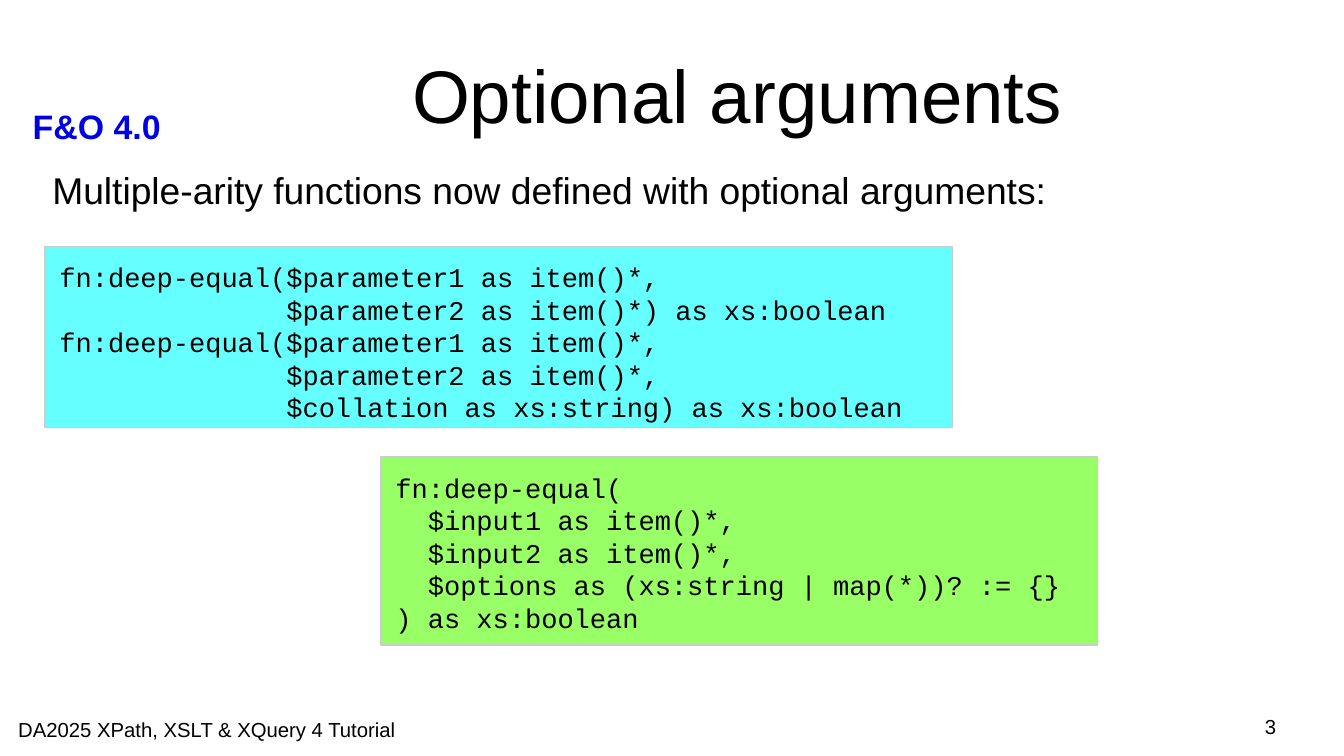
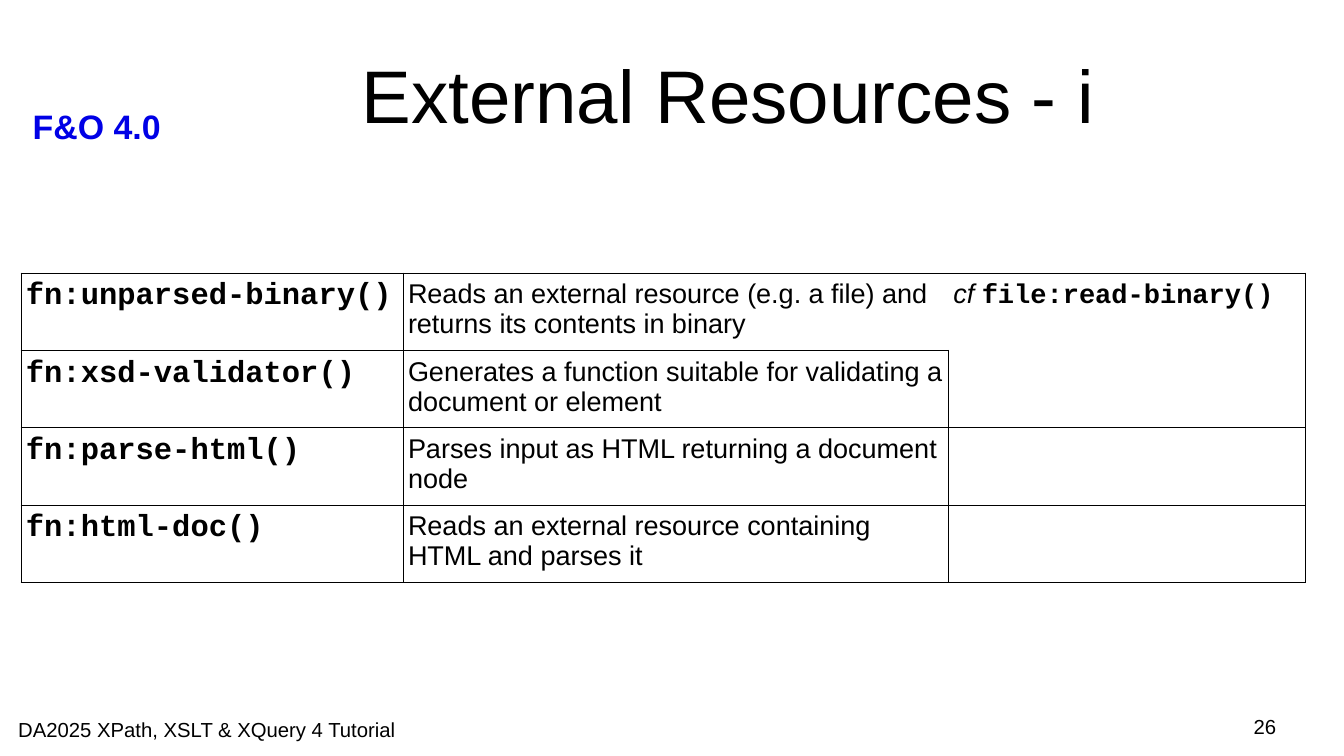
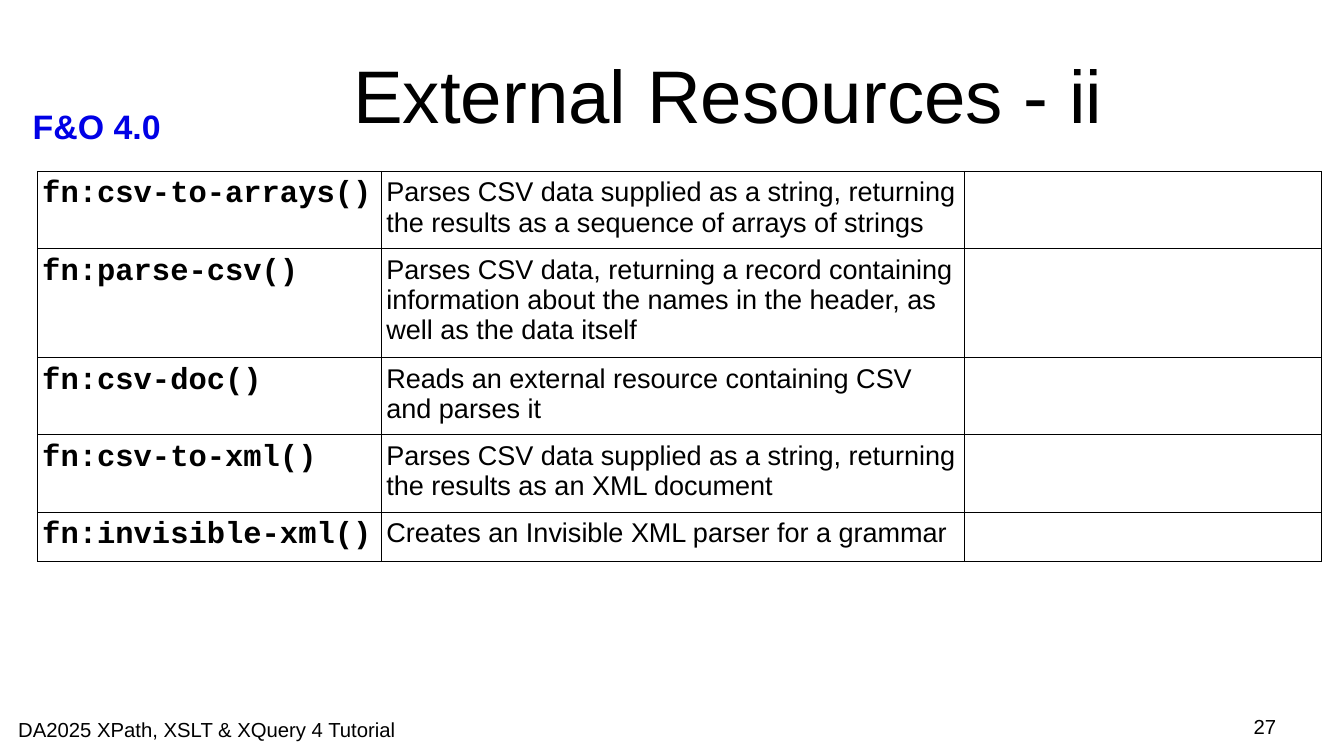
import pptx
import pptx.dml.color
import pptx.enum.shapes
import pptx.enum.text
import pptx.oxml.ns
import pptx.util
from lxml import etree

Cm = pptx.util.Cm
Pt = pptx.util.Pt
ALIGN = pptx.enum.text.PP_ALIGN
ANCHOR = pptx.enum.text.MSO_ANCHOR

# Shared look
COLORS = {
    "text": "000000",
    "label": "0000E6",
    "old_code": "66FFFF",
    "new_code": "99FF66",
    "outline": "CCCCCC",
}
SANS, MONO = "Arial", "Courier New"
SECTION = "F&O 4.0"
FOOTER = "DA2025 XPath, XSLT & XQuery 4 Tutorial"
RIGHT_EDGE = 26.59
NO_GRID_STYLE = "{2D5ABB26-0587-4C30-8999-92F81FD0307C}"
TITLE_AND_BODY, TITLE_ONLY = 1, 5

OLD_SIGNATURES = [
    "fn:deep-equal($parameter1 as item()*,",
    "              $parameter2 as item()*) as xs:boolean",
    "fn:deep-equal($parameter1 as item()*,",
    "              $parameter2 as item()*,",
    "              $collation as xs:string) as xs:boolean",
]
NEW_SIGNATURE = [
    "fn:deep-equal(",
    "  $input1 as item()*,",
    "  $input2 as item()*,",
    "  $options as (xs:string | map(*))? := {}",
    ") as xs:boolean",
]
BINARY_AND_HTML = [
    ("fn:unparsed-binary()",
     "Reads an external resource (e.g. a file) and returns its contents in binary"),
    ("fn:xsd-validator()",
     "Generates a function suitable for validating a document or element"),
    ("fn:parse-html()", "Parses input as HTML returning a document node"),
    ("fn:html-doc()", "Reads an external resource containing HTML and parses it"),
]
CSV_AND_IXML = [
    ("fn:csv-to-arrays()",
     "Parses CSV data supplied as a string, returning the results "
     "as a sequence of arrays of strings"),
    ("fn:parse-csv()",
     "Parses CSV data, returning a record containing information about "
     "the names in the header, as well as the data itself"),
    ("fn:csv-doc()", "Reads an external resource containing CSV and parses it"),
    ("fn:csv-to-xml()",
     "Parses CSV data supplied as a string, returning the results as an XML document"),
    ("fn:invisible-xml()", "Creates an Invisible XML parser for a grammar"),
]


def rgb(name):
    return pptx.dml.color.RGBColor.from_string(COLORS[name])


def add_run(paragraph, text, size, font=SANS, color="text", bold=False, italic=False):
    run = paragraph.add_run()
    run.text = text
    run.font.name, run.font.size = font, Pt(size)
    run.font.bold, run.font.italic = bold, italic
    run.font.color.rgb = rgb(color)


def place(shape, left, top, width, height):
    shape.left, shape.top = Cm(left), Cm(top)
    shape.width, shape.height = Cm(width), Cm(height)


def set_frame(frame, inset_x=0, inset_y=0, anchor=ANCHOR.TOP):
    frame.word_wrap = True
    frame.auto_size = pptx.enum.text.MSO_AUTO_SIZE.NONE
    frame.vertical_anchor = anchor
    frame.margin_left = frame.margin_right = Cm(inset_x)
    frame.margin_top = frame.margin_bottom = Cm(inset_y)


def add_label(slide, box, text, size, inset=(0, 0), align=ALIGN.LEFT, **style):
    frame = slide.shapes.add_textbox(*map(Cm, box)).text_frame
    set_frame(frame, *inset)
    frame.paragraphs[0].alignment = align
    add_run(frame.paragraphs[0], text, size, **style)


def add_slide(deck, layout, title, title_left, number):
    """Slide with the title, section label, footer and page number."""
    slide = deck.slides.add_slide(deck.slide_layouts[layout])
    heading = slide.shapes.title
    place(heading, title_left, 0.64, RIGHT_EDGE - title_left, 2.64)
    set_frame(heading.text_frame, anchor=ANCHOR.MIDDLE)
    heading.text_frame.paragraphs[0].alignment = ALIGN.CENTER
    add_run(heading.text_frame.paragraphs[0], title, 44)

    add_label(slide, (0.43, 2.08, 3.51, 1.04), SECTION, 20, (0.25, 0.13),
              color="label", bold=True)
    add_label(slide, (0.38, 14.94, 8.86, 0.48), FOOTER, 12)
    add_label(slide, (20.07, 14.88, RIGHT_EDGE - 20.07, 0.61), str(number), 12,
              align=ALIGN.RIGHT)
    return slide


def fill_body(slide, text):
    body = slide.placeholders[1]
    place(body, 1.09, 3.48, RIGHT_EDGE - 1.09, 1.19)
    set_frame(body.text_frame)
    paragraph = body.text_frame.paragraphs[0]
    properties = paragraph._p.get_or_add_pPr()
    properties.set("marL", "0")
    properties.set("indent", "0")
    etree.SubElement(properties, pptx.oxml.ns.qn("a:buNone"))
    paragraph.space_before = Pt(0)
    add_run(paragraph, text, 22)


def add_code(slide, box, lines, fill):
    panel = slide.shapes.add_shape(
        pptx.enum.shapes.MSO_SHAPE.RECTANGLE, *map(Cm, box))
    panel.shadow.inherit = False
    panel.fill.solid()
    panel.fill.fore_color.rgb = rgb(fill)
    panel.line.color.rgb = rgb("outline")
    panel.line.width = Pt(0)
    frame = panel.text_frame
    set_frame(frame, 0.3, 0.3)
    for index, line in enumerate(lines):
        paragraph = frame.add_paragraph() if index else frame.paragraphs[0]
        paragraph.alignment = ALIGN.LEFT
        add_run(paragraph, line, 16, font=MONO)


def set_borders(cell, sides="LRTB"):
    """Draw the given sides of a cell and hide the others."""
    qn = pptx.oxml.ns.qn
    properties = cell._tc.get_or_add_tcPr()
    for tag in [qn("a:ln" + side) for side in "LRTB"]:
        for old in properties.findall(tag):
            properties.remove(old)
    for position, side in enumerate("LRTB"):
        edge = etree.Element(qn("a:ln" + side), w=str(Pt(0.57)))
        if side in sides:
            paint = etree.SubElement(edge, qn("a:solidFill"))
            etree.SubElement(paint, qn("a:srgbClr"), val=COLORS["text"])
        else:
            etree.SubElement(edge, qn("a:noFill"))
        properties.insert(position, edge)


def add_function_table(slide, left, top, widths, heights, functions):
    """Grid of function name, description and a column for remarks."""
    frame = slide.shapes.add_table(
        len(functions), len(widths), Cm(left), Cm(top),
        Cm(sum(widths)), Cm(sum(heights)))
    table = frame.table
    table.first_row = table.horz_banding = False
    table._tbl.tblPr.find(pptx.oxml.ns.qn("a:tableStyleId")).text = NO_GRID_STYLE
    for column, width in zip(table.columns, widths):
        column.width = Cm(width)
    for row, height in zip(table.rows, heights):
        row.height = Cm(height)
    for cell in table.iter_cells():
        cell.margin_left = cell.margin_right = Cm(0.1)
        cell.margin_top = cell.margin_bottom = Cm(0.13)
        set_borders(cell)
        cell.fill.background()
    for row, (name, description) in enumerate(functions):
        add_run(table.cell(row, 0).text_frame.paragraphs[0], name, 18, MONO, bold=True)
        add_run(table.cell(row, 1).text_frame.paragraphs[0], description, 16)
    return table


def main():
    deck = pptx.Presentation()
    deck.slide_width, deck.slide_height = Cm(28), Cm(15.75)

    # Optional arguments
    slide = add_slide(deck, TITLE_AND_BODY, "Optional arguments", 4.14, 3)
    fill_body(slide, "Multiple-arity functions now defined with optional arguments:")
    add_code(slide, (0.94, 5.13, 18.9, 3.78), OLD_SIGNATURES, "old_code")
    add_code(slide, (7.94, 9.52, 14.93, 3.92), NEW_SIGNATURE, "new_code")

    # External resources: binary, schema and HTML
    slide = add_slide(deck, TITLE_ONLY, "External Resources - i", 3.76, 26)
    table = add_function_table(slide, 0.44, 5.69, (7.96, 11.36, 7.44),
                               [1.61] * len(BINARY_AND_HTML), BINARY_AND_HTML)
    remark = table.cell(0, 2)
    add_run(remark.text_frame.paragraphs[0], "cf ", 16, italic=True)
    add_run(remark.text_frame.paragraphs[0], "file:read-binary()", 16, MONO, bold=True)
    # The remark is open towards its description and the cell below
    set_borders(table.cell(0, 1), "LTB")
    set_borders(remark, "RT")
    set_borders(table.cell(1, 2), "LRB")

    # External resources: CSV and Invisible XML
    slide = add_slide(deck, TITLE_ONLY, "External Resources - ii", 3.76, 27)
    add_function_table(slide, 0.78, 3.57, (7.17, 12.14, 7.44),
                       (1.61, 2.27, 1.61, 1.61, 1.02), CSV_AND_IXML)

    deck.save("out.pptx")


if __name__ == "__main__":
    main()
